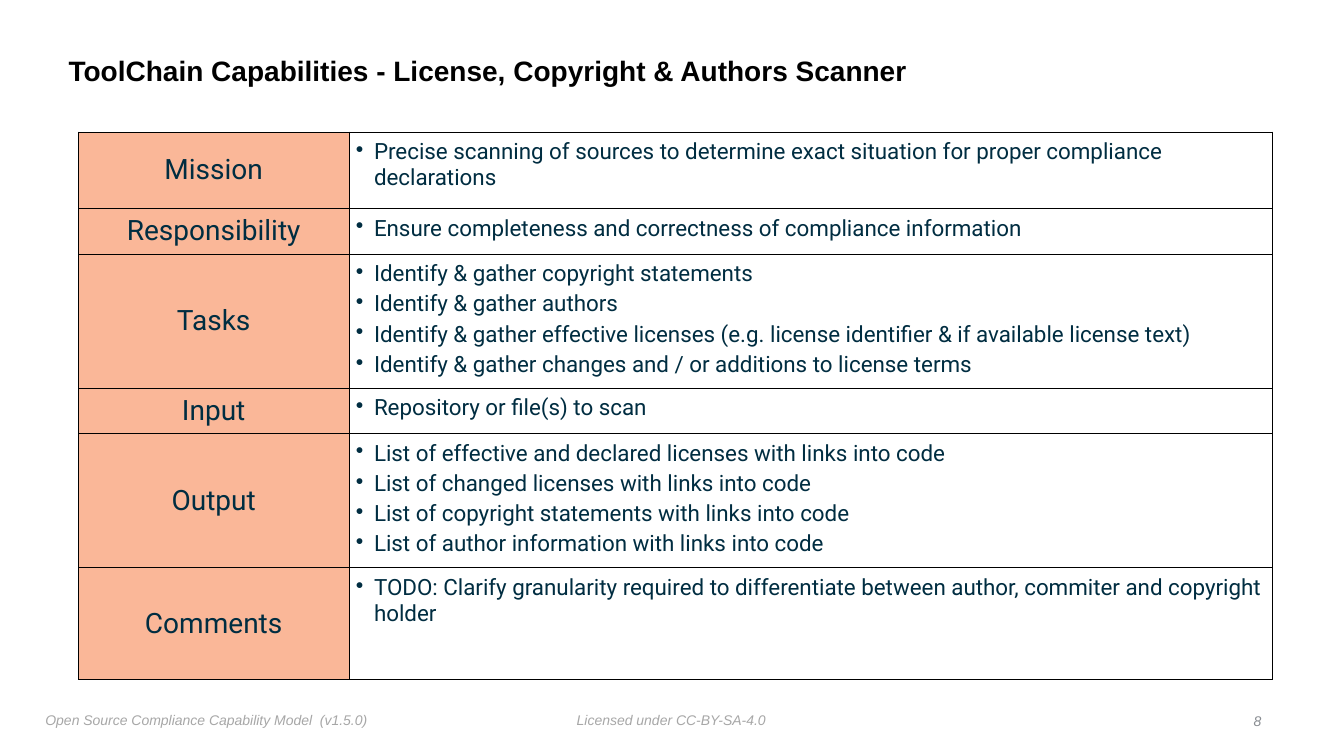
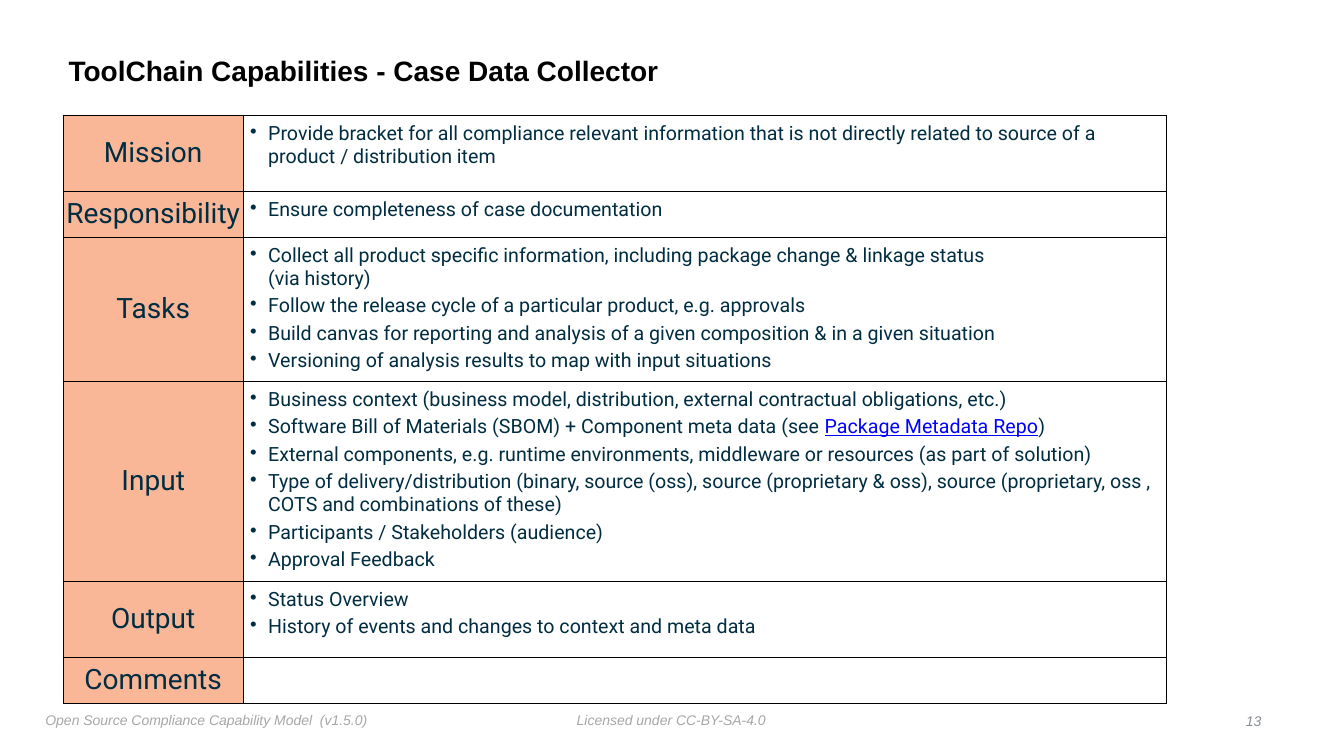
from dataclasses import dataclass, field

from lxml.etree import SubElement
from pptx import Presentation
from pptx.dml.color import RGBColor as Color
from pptx.enum.text import MSO_ANCHOR as Anchor, PP_ALIGN as Align
from pptx.oxml.ns import qn
from pptx.util import Emu, Pt

EMU_PER_PX = 9144  # 100 px to the inch


def px(length: int) -> Emu:
    return Emu(length * EMU_PER_PX)


@dataclass(frozen=True)
class Theme:
    heading_font: str = "Arial"
    table_font: str = "Roboto"
    black: str = "000000"
    ink: str = "002D41"
    label_fill: str = "FAB798"
    link: str = "0000FF"
    footer: str = "A7A7A7"
    page_number: str = "888C91"
    title_size: int = 20
    label_size: int = 20
    footer_size: int = 10
    bullet_space: int = 3
    border_width: float = 0.5


THEME = Theme()


@dataclass(frozen=True)
class TextStyle:
    font: str
    size: int
    color: str
    bold: bool = False
    italic: bool = False
    underline: bool = False


@dataclass(frozen=True)
class Box:
    left: int
    top: int
    width: int
    height: int


@dataclass(frozen=True)
class Span:
    text: str
    linked: bool = False
    starts_line: bool = False


@dataclass(frozen=True)
class Row:
    label: str
    height: int
    bullets: list[str | list[Span]] = field(default_factory=list)


@dataclass(frozen=True)
class Capability:
    name: str
    page: int
    left: int
    top: int
    label_width: int
    bullet_size: int
    rows: list[Row]


SLIDE_SIZE = (1333, 750)
TITLE_BOX = Box(63, 39, 1075, 65)
LICENSE_BOX = Box(567, 701, 199, 25)
MODEL_BOX = Box(40, 701, 332, 27)
PAGE_BOX = Box(1207, 703, 49, 25)
TEXT_INSET = 5
CELL_INSET = 7
BULLET_INDENT = 18
DETAIL_WIDTH = 916

TITLE_STYLE = TextStyle(THEME.heading_font, THEME.title_size, THEME.black, bold=True)
FOOTER_STYLE = TextStyle(THEME.heading_font, THEME.footer_size, THEME.footer, italic=True)
PAGE_STYLE = TextStyle(THEME.heading_font, THEME.footer_size, THEME.page_number, italic=True)
LABEL_STYLE = TextStyle(THEME.table_font, THEME.label_size, THEME.ink)

CAPABILITIES = [
    Capability("License, Copyright & Authors Scanner", 8, 78, 131, 268, 16, [
        Row("Mission", 76, [
            "Precise scanning of sources to determine exact situation for proper "
            "compliance declarations",
        ]),
        Row("Responsibility", 45, [
            "Ensure completeness and correctness of compliance information",
        ]),
        Row("Tasks", 130, [
            "Identify & gather copyright statements",
            "Identify & gather authors",
            "Identify & gather effective licenses (e.g. license identifier & "
            "if available license text)",
            "Identify & gather changes and / or additions to license terms",
        ]),
        Row("Input", 45, ["Repository or file(s) to scan"]),
        Row("Output", 130, [
            "List of effective and declared licenses with links into code",
            "List of changed licenses with links into code",
            "List of copyright statements with links into code",
            "List of author information with links into code",
        ]),
        Row("Comments", 111, [
            "TODO: Clarify granularity required to differentiate between author, "
            "commiter and copyright holder",
        ]),
    ]),
    Capability("Case Data Collector", 13, 63, 114, 178, 14, [
        Row("Mission", 76, [
            "Provide bracket for all compliance relevant information that is not "
            "directly related to source of a product / distribution item",
        ]),
        Row("Responsibility", 45, ["Ensure completeness of case documentation"]),
        Row("Tasks", 141, [
            [
                Span("Collect all product specific information, including package "
                     "change & linkage status"),
                Span("(via history)", starts_line=True),
            ],
            "Follow the release cycle of a particular product, e.g. approvals",
            "Build canvas for reporting and analysis of a given composition & "
            "in a given situation",
            "Versioning of analysis results to map with input situations",
        ]),
        Row("Input", 196, [
            "Business context (business model, distribution, external contractual "
            "obligations, etc.)",
            [
                Span("Software Bill of Materials (SBOM) + Component meta data (see "),
                Span("Package Metadata Repo", linked=True),
                Span(")"),
            ],
            "External components, e.g. runtime environments, middleware or "
            "resources (as part of solution)",
            "Type of delivery/distribution (binary, source (oss), source "
            "(proprietary & oss), source (proprietary, oss , COTS and "
            "combinations of these)",
            "Participants / Stakeholders (audience)",
            "Approval Feedback",
        ]),
        Row("Output", 76, [
            "Status Overview",
            "History of events and changes to context and meta data",
        ]),
        Row("Comments", 45),
    ]),
]


def add_run(paragraph, text: str, style: TextStyle) -> None:
    run = paragraph.add_run()
    run.text = text
    font = run.font
    font.name = style.font
    font.size = Pt(style.size)
    font.bold = style.bold
    font.italic = style.italic
    font.underline = style.underline
    font.color.rgb = Color.from_string(style.color)


def set_margins(target, inset: int) -> None:
    """Give a cell or text frame the same inset on all four sides."""
    target.margin_left = target.margin_right = px(inset)
    target.margin_top = target.margin_bottom = px(inset)


def add_text(slide, box: Box, text: str, style: TextStyle, anchor: Anchor = Anchor.TOP,
             align: Align = Align.LEFT, wrap: bool = False):
    shape = slide.shapes.add_textbox(px(box.left), px(box.top), px(box.width), px(box.height))
    frame = shape.text_frame
    frame.word_wrap = wrap
    frame.vertical_anchor = anchor
    set_margins(frame, TEXT_INSET)
    paragraph = frame.paragraphs[0]
    paragraph.alignment = align
    add_run(paragraph, text, style)
    return paragraph


def add_borders(cell) -> None:
    properties = cell._tc.get_or_add_tcPr()
    for side in ("lnL", "lnR", "lnT", "lnB"):
        line = SubElement(properties, qn(f"a:{side}"), w=str(Pt(THEME.border_width)))
        fill = SubElement(line, qn("a:solidFill"))
        SubElement(fill, qn("a:srgbClr"), val=THEME.black)


def fill_label(cell, label: str) -> None:
    add_borders(cell)
    cell.fill.solid()
    cell.fill.fore_color.rgb = Color.from_string(THEME.label_fill)
    cell.vertical_anchor = Anchor.MIDDLE
    set_margins(cell, 0)
    paragraph = cell.text_frame.paragraphs[0]
    paragraph.alignment = Align.CENTER
    add_run(paragraph, label, LABEL_STYLE)


def fill_details(cell, bullets: list[str | list[Span]], size: int) -> None:
    add_borders(cell)
    cell.fill.background()
    set_margins(cell, CELL_INSET)
    plain = TextStyle(THEME.table_font, size, THEME.ink)
    linked = TextStyle(THEME.table_font, size, THEME.link, underline=True)
    frame = cell.text_frame
    for index, bullet in enumerate(bullets):
        paragraph = frame.add_paragraph() if index else frame.paragraphs[0]
        paragraph.space_before = Pt(THEME.bullet_space if index else 0)
        properties = paragraph._p.get_or_add_pPr()
        properties.set("marL", str(px(BULLET_INDENT)))
        properties.set("indent", str(-px(BULLET_INDENT)))
        SubElement(properties, qn("a:buChar"), char="•")
        for span in [Span(bullet)] if isinstance(bullet, str) else bullet:
            if span.starts_line:
                paragraph.add_line_break()
            add_run(paragraph, span.text, linked if span.linked else plain)


def add_capability_table(slide, capability: Capability) -> None:
    rows = capability.rows
    widths = (capability.label_width, DETAIL_WIDTH)
    table = slide.shapes.add_table(
        len(rows), len(widths), px(capability.left), px(capability.top),
        px(sum(widths)), px(sum(row.height for row in rows))).table
    table.first_row = table.horz_banding = False
    for column, width in zip(table.columns, widths):
        column.width = px(width)
    for index, row in enumerate(rows):
        table.rows[index].height = px(row.height)
        fill_label(table.cell(index, 0), row.label)
        fill_details(table.cell(index, 1), row.bullets, capability.bullet_size)


def add_frame(slide, capability: Capability) -> None:
    """Draw the title and footers that every slide carries."""
    add_text(slide, LICENSE_BOX, "Licensed under CC-BY-SA-4.0", FOOTER_STYLE)
    add_text(slide, MODEL_BOX, "Open Source Compliance Capability Model  (v1.5.0)", FOOTER_STYLE)
    title = add_text(slide, TITLE_BOX, f"ToolChain Capabilities - {capability.name}",
                     TITLE_STYLE, Anchor.MIDDLE, wrap=True)
    title.line_spacing = 0.9
    add_text(slide, PAGE_BOX, str(capability.page), PAGE_STYLE, Anchor.MIDDLE, Align.RIGHT)


def main() -> None:
    presentation = Presentation()
    presentation.slide_width, presentation.slide_height = map(px, SLIDE_SIZE)
    blank_layout = presentation.slide_layouts[6]
    for capability in CAPABILITIES:
        slide = presentation.slides.add_slide(blank_layout)
        add_frame(slide, capability)
        add_capability_table(slide, capability)
    presentation.save("out.pptx")


if __name__ == "__main__":
    main()
